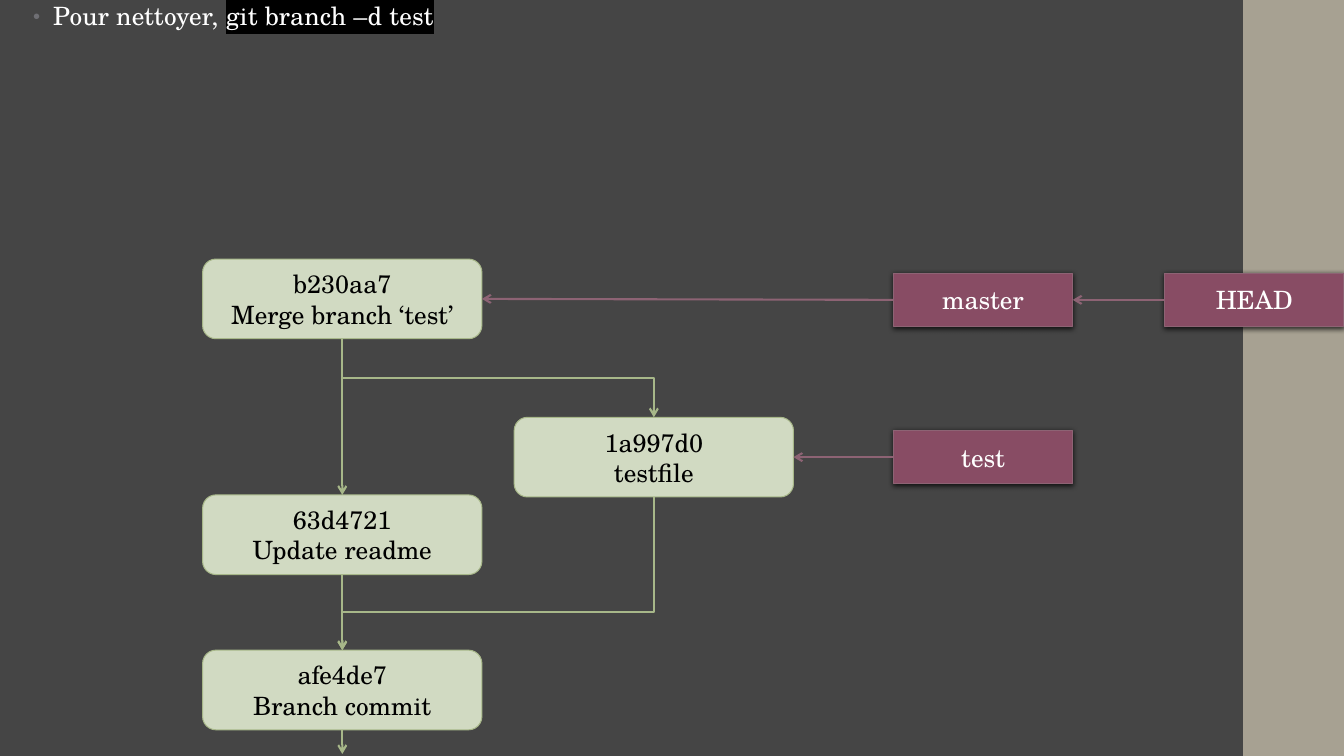
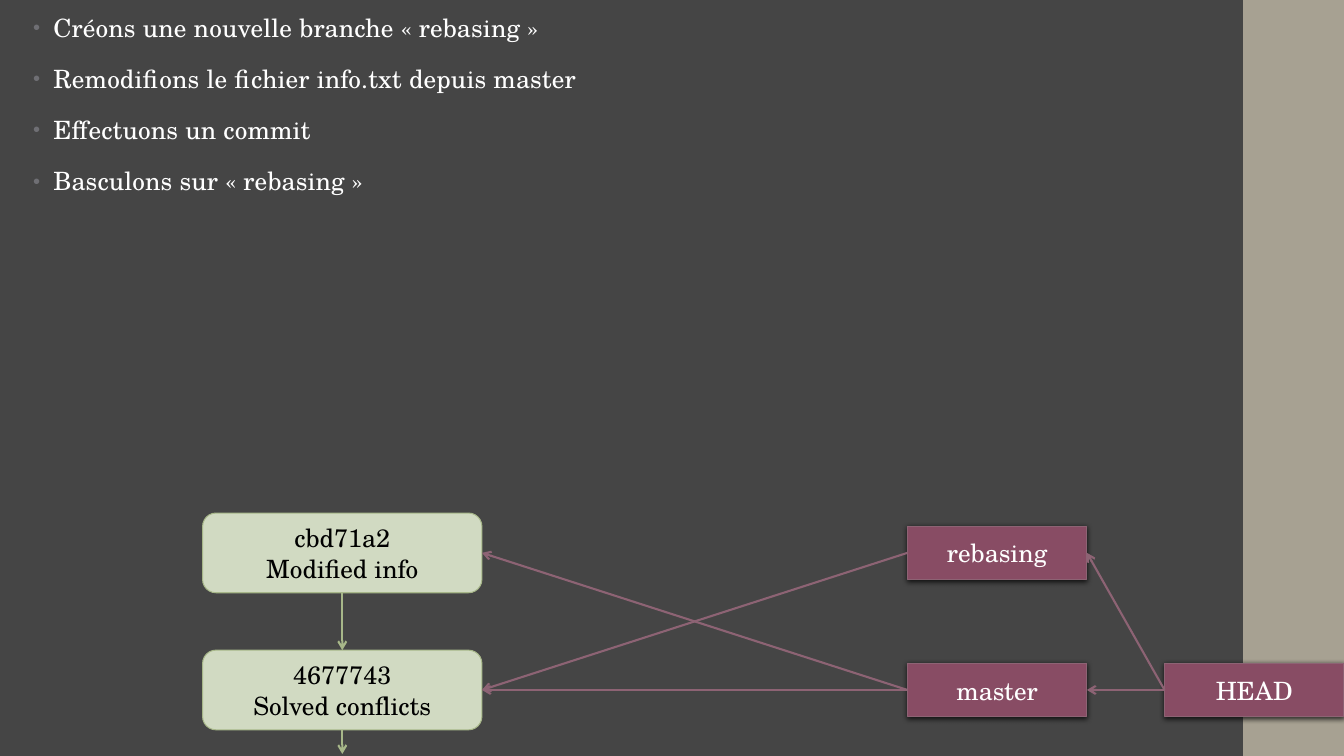
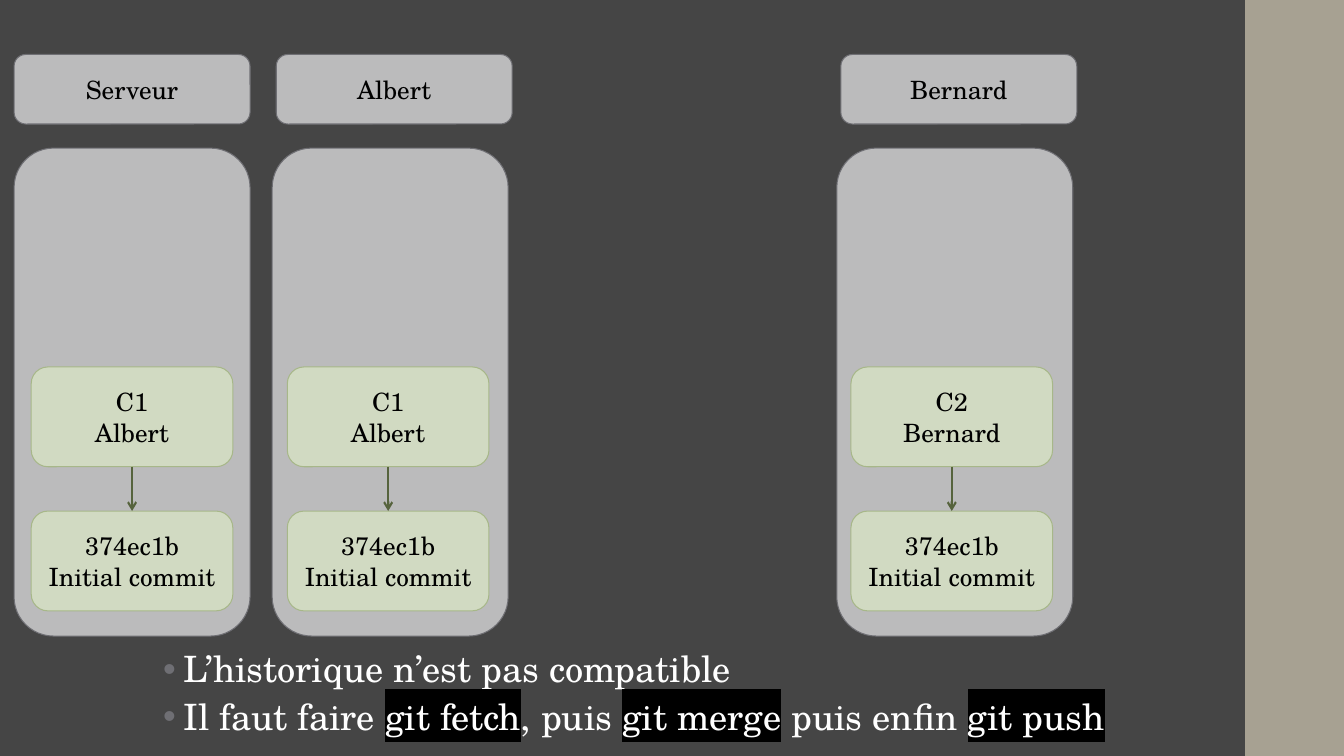
import pptx
import pptx.util
import pptx.dml.color
import pptx.enum.shapes
import pptx.enum.text
import pptx.oxml
import pptx.oxml.ns

Inches = pptx.util.Inches
Pt = pptx.util.Pt
SHAPES = pptx.enum.shapes.MSO_SHAPE
CONNECTORS = pptx.enum.shapes.MSO_CONNECTOR

COLORS = {
    "background": "454545", "band": "A7A192", "white": "FFFFFF", "black": "000000",
    "commit": "D1DAC2", "commit_line": "A7B789", "dark_green": "56633D",
    "ref": "884C64", "ref_line": "8D6374",
    "panel": "BBBBBC", "gray": "6F6F74",
}
FONT = "TeX Gyre Schola"
SLIDE_WIDTH, SLIDE_HEIGHT = 13.33, 7.5
COMMIT_LEFT, COMMIT_SIZE = 2.01, (2.77, 0.79)
REF_SIZE = (1.78, 0.53)
HEAD_LEFT = 11.55


def rgb(color):
    return pptx.dml.color.RGBColor.from_string(COLORS[color])


def xml(tag, content="", **attributes):
    values = "".join(f' {key}="{value}"' for key, value in attributes.items())
    namespace = pptx.oxml.ns.nsdecls("a")
    return pptx.oxml.parse_xml(f"<a:{tag} {namespace}{values}>{content}</a:{tag}>")


def color_xml(color, content=""):
    return f'<a:srgbClr val="{COLORS[color]}">{content}</a:srgbClr>'


def side(box, name):
    """Middle of one side of a box, as a point."""
    middle_x, middle_y = box.left + box.width // 2, box.top + box.height // 2
    return {
        "left": (box.left, middle_y), "right": (box.left + box.width, middle_y),
        "top": (middle_x, box.top), "bottom": (middle_x, box.top + box.height),
    }[name]


class Deck:
    def __init__(self):
        self.prs = pptx.Presentation()
        self.prs.slide_width = Inches(SLIDE_WIDTH)
        self.prs.slide_height = Inches(SLIDE_HEIGHT)
        fill = self.prs.slide_master.background.fill
        fill.solid()
        fill.fore_color.rgb = rgb("background")
        self.slide = None

    def new_slide(self, band_left=12.33):
        self.slide = self.prs.slides.add_slide(self.prs.slide_layouts[6])
        self.box(SHAPES.RECTANGLE, band_left, 0, (SLIDE_WIDTH - band_left, SLIDE_HEIGHT), "band")

    def style_run(self, run, color, size=18):
        run.font.name = FONT
        run.font.size = Pt(size)
        run.font.color.rgb = rgb(color)

    def box(self, kind, left, top, size, fill, line=None, text="", color="black"):
        shape = self.slide.shapes.add_shape(
            kind, Inches(left), Inches(top), Inches(size[0]), Inches(size[1]))
        shape.shadow.inherit = False
        shape.fill.solid()
        shape.fill.fore_color.rgb = rgb(fill)
        if line:
            shape.line.color.rgb = rgb(line)
            shape.line.width = Pt(0.75)
        else:
            shape.line.fill.background()
        if text:
            frame = shape.text_frame
            frame.text = text
            frame.vertical_anchor = pptx.enum.text.MSO_ANCHOR.MIDDLE
            for paragraph in frame.paragraphs:
                paragraph.alignment = pptx.enum.text.PP_ALIGN.CENTER
                for run in paragraph.runs:
                    self.style_run(run, color)
        return shape

    def commit(self, top, text, left=COMMIT_LEFT, size=COMMIT_SIZE):
        return self.box(SHAPES.ROUNDED_RECTANGLE, left, top, size, "commit", "commit_line", text)

    def panel(self, left, top, size, text=""):
        return self.box(SHAPES.ROUNDED_RECTANGLE, left, top, size, "panel", "gray", text)

    def ref(self, left, top, text):
        """Branch or HEAD label, with a soft shadow below."""
        label = self.box(SHAPES.RECTANGLE, left, top, REF_SIZE, "ref", "ref_line", text, "white")
        effects = label._element.spPr.find(pptx.oxml.ns.qn("a:effectLst"))
        effects.append(xml("outerShdw", color_xml("black", '<a:alpha val="75000"/>'),
                           blurRad=Pt(4), dist=Pt(1.2), dir=5400000, rotWithShape=0))
        return label

    def arrow(self, start, end, color, kind=CONNECTORS.STRAIGHT):
        connector = self.slide.shapes.add_connector(kind, *start, *end)
        connector.line.color.rgb = rgb(color)
        connector.line.width = Pt(1.5)
        connector.line._get_or_add_ln().append(xml("tailEnd", type="arrow"))
        connector._element.spPr.append(xml("effectLst"))
        return connector

    def point_to(self, label, target):
        self.arrow(side(label, "left"), side(target, "right"), "ref_line")

    def parent(self, child, ancestor, color="commit_line"):
        self.arrow(side(child, "bottom"), side(ancestor, "top"), color)

    def older_history(self, commit):
        x, y = side(commit, "bottom")
        self.arrow((x, y), (x, Inches(7.48)), "commit_line")

    def bent_parent(self, child, ancestor, bend=0.5):
        """Elbow that goes down, across, then down; it is a turned horizontal elbow."""
        (x1, y1), (x2, y2) = side(child, "bottom"), side(ancestor, "top")
        middle_x, middle_y = (x1 + x2) // 2, (y1 + y2) // 2
        half_drop, half_run = (y2 - y1) // 2, abs(x2 - x1) // 2
        to_right = x2 > x1
        if to_right:
            half_drop = -half_drop
        elbow = self.arrow((middle_x - half_drop, middle_y - half_run),
                           (middle_x + half_drop, middle_y + half_run),
                           "commit_line", CONNECTORS.ELBOW)
        properties = elbow._element.spPr
        degrees = 270 if to_right else 90
        properties.find(pptx.oxml.ns.qn("a:xfrm")).set("rot", str(degrees * 60000))
        adjustments = properties.find(pptx.oxml.ns.qn("a:prstGeom")).get_or_add_avLst()
        adjustments.append(xml("gd", name="adj1", fmla=f"val {round(bend * 100000)}"))

    def bullets(self, at, lines, size=18, indent=0.2, line_spacing=0.95, before=14, after=2,
                bullet_size=80, tracking=10):
        """Bulleted text; parts between backticks are commands on black."""
        frame = self.slide.shapes.add_textbox(*map(Inches, at)).text_frame
        frame.word_wrap = True
        for index, line in enumerate(lines):
            paragraph = frame.add_paragraph() if index else frame.paragraphs[0]
            paragraph.line_spacing = line_spacing
            paragraph.space_before, paragraph.space_after = Pt(before), Pt(after)
            properties = paragraph._p.get_or_add_pPr()
            properties.set("marL", str(Inches(indent)))
            properties.set("indent", str(Inches(-0.2)))
            properties.append(xml("buClr", color_xml("gray")))
            properties.append(xml("buSzPct", val=bullet_size * 1000))
            properties.append(xml("buFont", typeface="Arial"))
            properties.append(xml("buChar", char="•"))
            for part, words in enumerate(line.split("`")):
                if not words:
                    continue
                run = paragraph.add_run()
                run.text = words
                self.style_run(run, "white", size)
                run_properties = run._r.get_or_add_rPr()
                run_properties.set("spc", str(tracking))
                if part % 2:
                    fill = run_properties.find(pptx.oxml.ns.qn("a:solidFill"))
                    fill.addnext(xml("highlight", color_xml("black")))


def merged_branch(deck):
    deck.new_slide()
    deck.bullets((0.23, -0.02, 7.97, 6.14), ["Pour nettoyer, `git branch –d test`"])
    merge = deck.commit(2.57, "b230aa7\nMerge branch ‘test’")
    testfile = deck.commit(4.14, "1a997d0\ntestfile", left=5.1)
    readme = deck.commit(4.91, "63d4721\nUpdate readme")
    branch = deck.commit(6.45, "afe4de7\nBranch commit")
    master = deck.ref(8.86, 2.71, "master")
    test = deck.ref(8.86, 4.27, "test")
    head = deck.ref(HEAD_LEFT, 2.71, "HEAD")
    deck.parent(merge, readme)
    deck.parent(readme, branch)
    deck.bent_parent(merge, testfile)
    deck.bent_parent(testfile, branch, bend=0.75)
    deck.older_history(branch)
    for label, target in ((head, master), (master, merge), (test, testfile)):
        deck.point_to(label, target)


def rebasing_branch(deck):
    deck.new_slide()
    deck.bullets((0.23, 0.09, 6.68, 2.08), [
        "Créons une nouvelle branche « rebasing »",
        "Remodifions le fichier info.txt depuis master",
        "Effectuons un commit",
        "Basculons sur « rebasing »",
    ])
    modified = deck.commit(5.09, "cbd71a2\nModified info")
    solved = deck.commit(6.45, "4677743\nSolved conflicts")
    rebasing = deck.ref(9, 5.22, "rebasing")
    master = deck.ref(9, 6.58, "master")
    head = deck.ref(HEAD_LEFT, 6.58, "HEAD")
    deck.parent(modified, solved)
    deck.older_history(solved)
    for label, target in ((head, master), (head, rebasing), (master, solved),
                          (master, modified), (rebasing, solved)):
        deck.point_to(label, target)


def diverged_histories(deck):
    deck.new_slide(band_left=12.35)
    commit_size = (2, 0.99)
    repositories = (
        ("Serveur", "C1\nAlbert", 0.14, 0.14, 0.31),
        ("Albert", "C1\nAlbert", 2.74, 2.7, 2.85),
        ("Bernard", "C2\nBernard", 8.34, 8.3, 8.44),
    )
    for owner, latest, header_left, panel_left, commit_left in repositories:
        deck.panel(header_left, 0.54, (2.34, 0.69), owner)
        deck.panel(panel_left, 1.47, (2.34, 4.84))
        newest = deck.commit(3.64, latest, commit_left, commit_size)
        initial = deck.commit(5.07, "374ec1b\nInitial commit", commit_left, commit_size)
        deck.parent(newest, initial, "dark_green")
    deck.bullets((1.22, 6.41, 10.35, 1.09), [
        "L’historique n’est pas compatible",
        "Il faut faire `git fetch`, puis `git merge` puis enfin `git push`",
    ], size=25.9, indent=0.5, line_spacing=0.9, before=3, after=3, bullet_size=100, tracking=0)


def main():
    deck = Deck()
    merged_branch(deck)
    rebasing_branch(deck)
    diverged_histories(deck)
    deck.prs.save("out.pptx")


if __name__ == "__main__":
    main()
